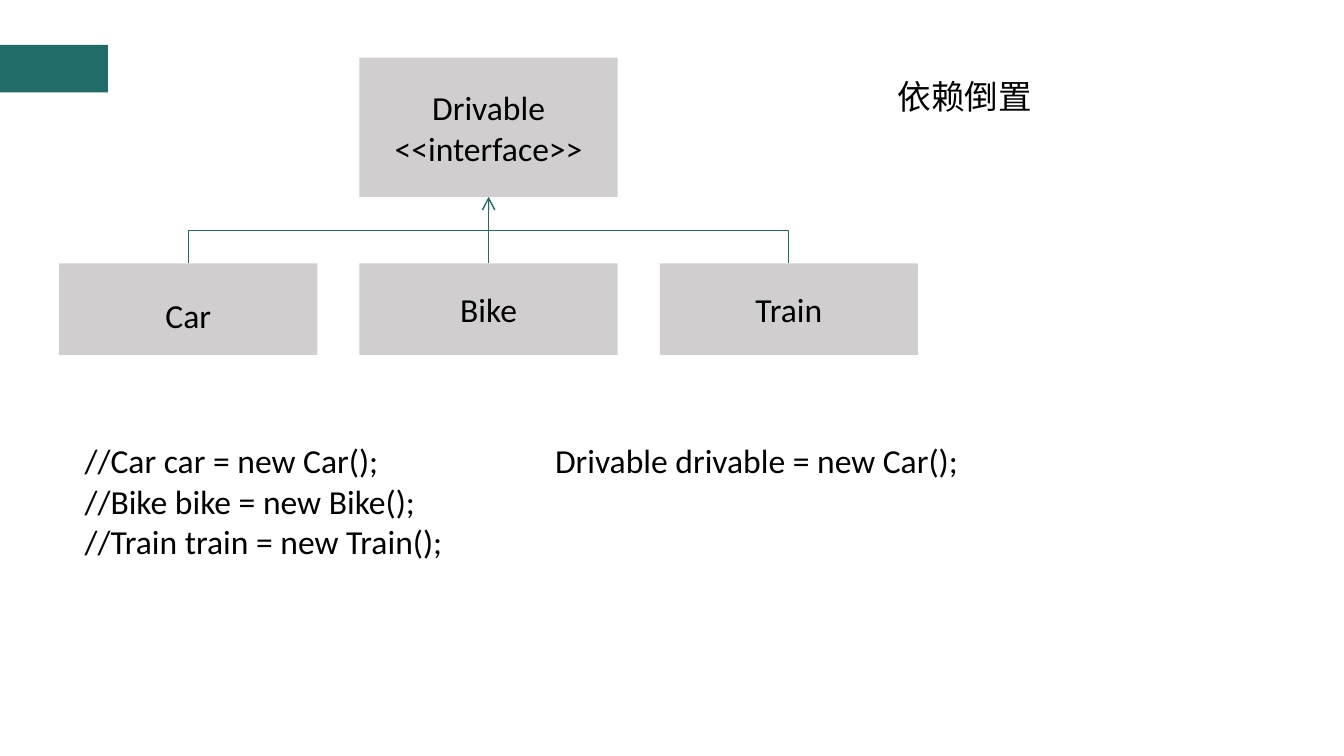
from lxml import etree
from pptx import Presentation
from pptx.dml.color import RGBColor
from pptx.enum import shapes, text
from pptx.oxml import ns
from pptx.util import Cm, Pt

TEAL = RGBColor(0x21, 0x6B, 0x68)
GREY = RGBColor(0xD0, 0xCE, 0xCE)
BLACK = RGBColor(0, 0, 0)


def write(shape, lines, alignment):
    frame = shape.text_frame
    frame.word_wrap = True
    frame.text = "\n".join(lines)
    for paragraph in frame.paragraphs:
        paragraph.alignment = alignment
        for run in paragraph.runs:
            run.font.name = "Calibri"
            run.font.size = Pt(18)
            run.font.color.rgb = BLACK


def add_block(slide, left, top, width, height, color):
    block = slide.shapes.add_shape(
        shapes.MSO_SHAPE.RECTANGLE, Cm(left), Cm(top), Cm(width), Cm(height))
    block.shadow.inherit = False
    block.fill.solid()
    block.fill.fore_color.rgb = color
    block.line.fill.background()
    return block


def add_class(slide, left, top, width, height, lines):
    block = add_block(slide, left, top, width, height, GREY)
    write(block, lines, text.PP_ALIGN.CENTER)
    block.text_frame.vertical_anchor = text.MSO_ANCHOR.MIDDLE
    return block


def add_upward_elbow(slide, start_x, start_y, end_x, end_y):
    center_x, center_y = (start_x + end_x) / 2, (start_y + end_y) / 2
    half_rise, half_run = (start_y - end_y) / 2, (end_x - start_x) / 2
    connector = slide.shapes.add_connector(
        shapes.MSO_CONNECTOR.ELBOW,
        Cm(center_x - half_rise), Cm(center_y - half_run),
        Cm(center_x + half_rise), Cm(center_y + half_run))
    connector.line.color.rgb = TEAL
    connector.line.width = Pt(0.5)
    properties = connector._element.spPr
    properties.get_or_add_xfrm().set("rot", str(270 * 60000))
    etree.SubElement(connector.line._get_or_add_ln(), ns.qn("a:tailEnd"), type="arrow")
    etree.SubElement(properties, ns.qn("a:effectLst"))


def add_class_diagram(slide, left, top, width, height):
    class_width, class_height, interface_height = 4.88, 1.73, 2.64
    names = ["Car", "Bike", "Train"]
    pitch = (width - class_width) / (len(names) - 1)
    class_top = top + height - class_height
    center = left + width / 2
    add_class(slide, center - class_width / 2, top, class_width, interface_height,
              ["Drivable", "<<interface>>"])
    for index, name in enumerate(names):
        class_left = left + index * pitch
        block = add_class(slide, class_left, class_top, class_width, class_height, [name])
        if name == "Car":
            block.text_frame.margin_top = Cm(0.33)
        add_upward_elbow(slide, class_left + class_width / 2, class_top,
                         center, top + interface_height)


def add_code(slide, left, top, width, height, lines):
    box = slide.shapes.add_textbox(Cm(left), Cm(top), Cm(width), Cm(height))
    write(box, lines, text.PP_ALIGN.LEFT)


def place_title(slide, left, top, width, height, title_text):
    title = slide.shapes.title
    title.left, title.top, title.width, title.height = map(Cm, (left, top, width, height))
    write(title, [title_text], text.PP_ALIGN.LEFT)
    title.text_frame.vertical_anchor = text.MSO_ANCHOR.MIDDLE


presentation = Presentation()
presentation.slide_width, presentation.slide_height = Cm(25.4), Cm(14.29)
slide = presentation.slides.add_slide(presentation.slide_layouts[5])
add_block(slide, 0, 0.85, 2.04, 0.9, TEAL)
place_title(slide, 16.71, 1.3, 7.19, 1.03, "依赖倒置")
add_class_diagram(slide, 1.12, 1.09, 16.23, 5.62)
add_code(slide, 1.35, 8.2, 8.8, 3.33, [
    "//Car car = new Car();",
    "//Bike bike = new Bike();",
    "//Train train = new Train();",
])
add_code(slide, 10.24, 8.2, 15, 1.8, ["Drivable drivable = new Car();"])
presentation.save("out.pptx")
